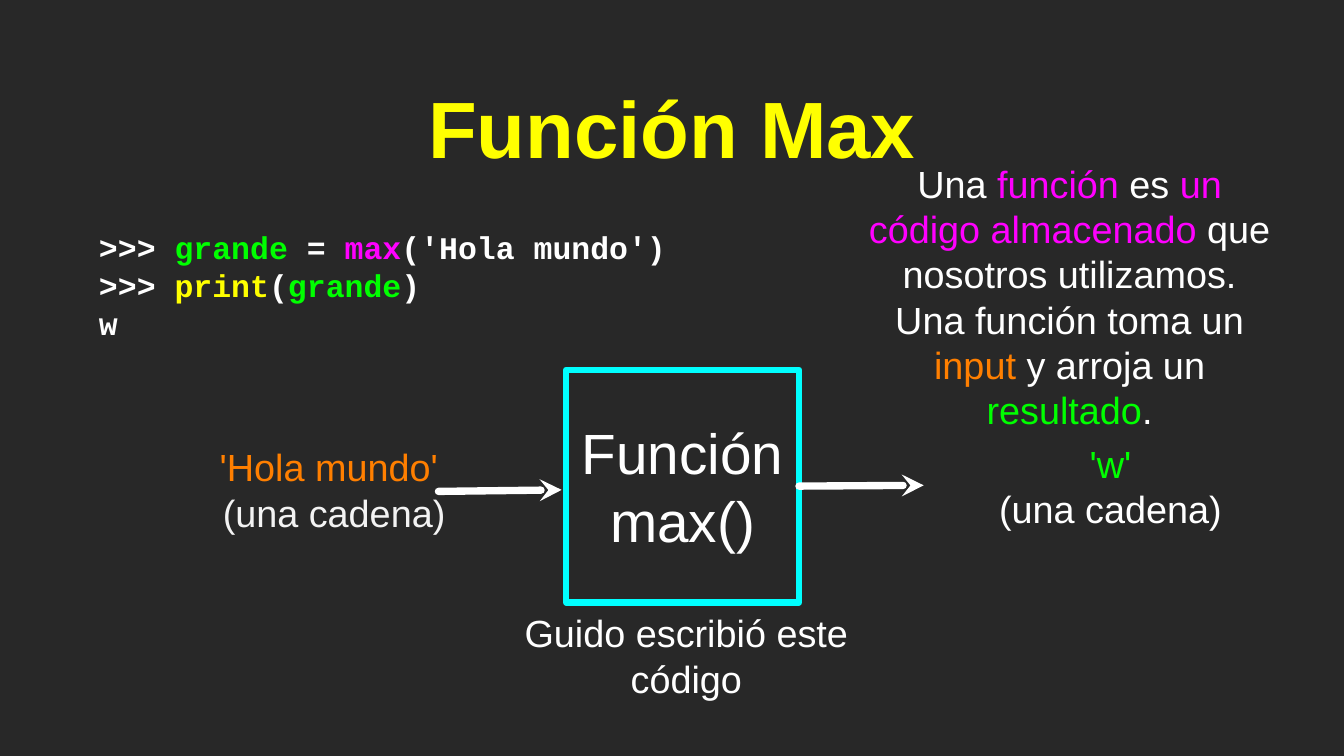
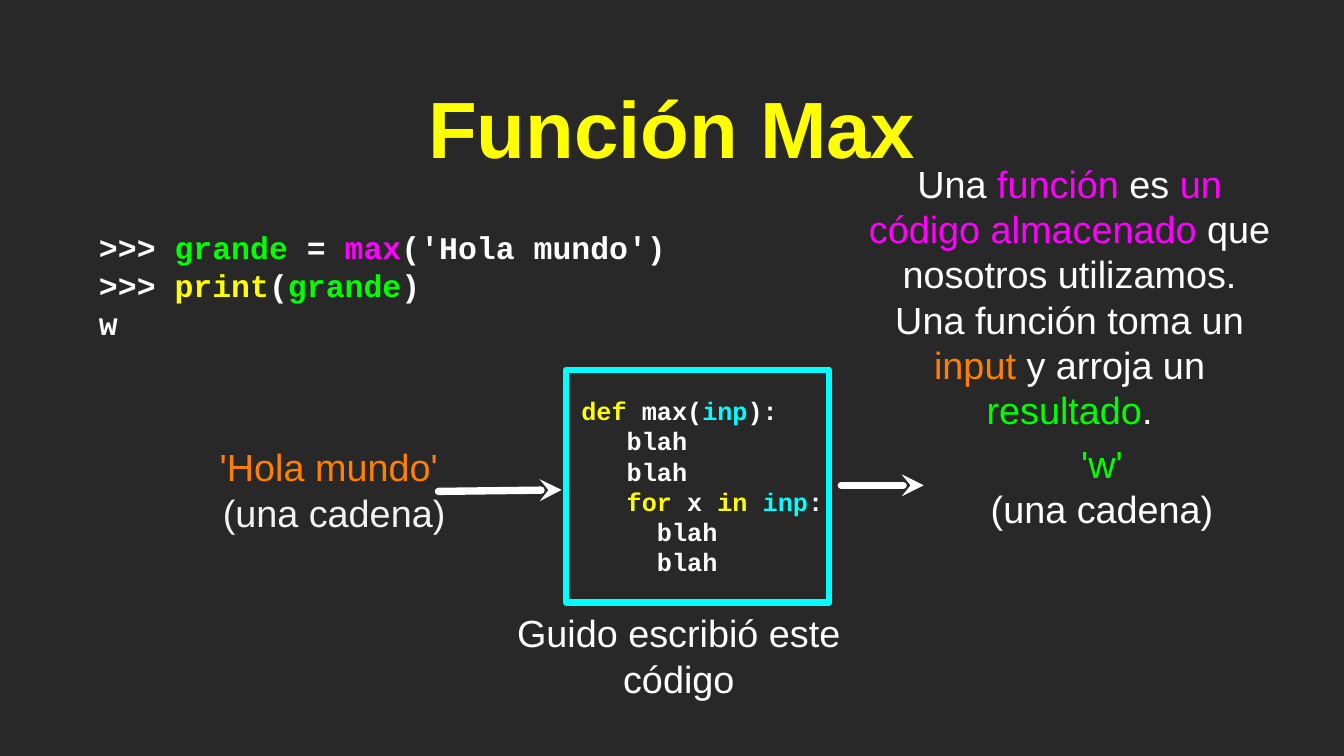
from lxml import etree
from pptx import Presentation
from pptx import util as u
from pptx.dml.color import RGBColor
from pptx.enum import shapes, text
from pptx.oxml.ns import qn

BACKGROUND = RGBColor(0x28, 0x28, 0x28)
WHITE = RGBColor(0xFF, 0xFF, 0xFF)
PALE = RGBColor(0xF3, 0xF3, 0xF3)
YELLOW = RGBColor(0xFF, 0xFF, 0x00)
GREEN = RGBColor(0x00, 0xFF, 0x00)
MAGENTA = RGBColor(0xFF, 0x00, 0xFF)
ORANGE = RGBColor(0xFF, 0x7F, 0x00)
CYAN = RGBColor(0x00, 0xFF, 0xFF)

BODY_FONT, CODE_FONT = "Arial", "Courier New"
LINE_PITCH = 1.2  # line height as a multiple of the font size
CODE_CHAR = 0.2  # width in inches of one 24 pt code character

# Each line of text is a list of (words, colour) runs
CONSOLE = [
    [(">>> ", WHITE), ("grande ", GREEN), ("= ", WHITE), ("max", MAGENTA),
     ("('Hola mundo')", WHITE)],
    [(">>> ", WHITE), ("print", YELLOW), ("(", WHITE), ("grande", GREEN), (")", WHITE)],
    [("w", WHITE)],
]
DEFINITION = [[
    ("Una ", WHITE), ("función", MAGENTA), (" es ", WHITE),
    ("un código almacenado", MAGENTA),
    (" que nosotros utilizamos. Una función toma un ", WHITE),
    ("input ", ORANGE), ("y arroja un ", WHITE), ("resultado", GREEN), (".", WHITE),
]]
MAX_BODY = [
    [("def", YELLOW), (" max(", WHITE), ("inp", CYAN), ("):", WHITE)],
    [("blah", WHITE)],
    [("blah", WHITE)],
    [("for", YELLOW), (" x ", WHITE), ("in ", YELLOW), ("inp", CYAN), (":", WHITE)],
    [("blah", WHITE)],
    [("blah", WHITE)],
]
MAX_BODY_INDENTS = [1, 4, 4, 4, 6, 6]  # in code characters


class Deck:
    """Holds the shared style and the slide being built."""

    def __init__(self):
        self.prs = Presentation()
        self.prs.slide_width = u.Inches(17.78)
        self.prs.slide_height = u.Inches(10)
        self.slide = None

    def new_slide(self):
        self.slide = self.prs.slides.add_slide(self.prs.slide_layouts[6])
        self.slide.background.fill.solid()
        self.slide.background.fill.fore_color.rgb = BACKGROUND

    def set_lines(self, shape, lines, size=36, font=BODY_FONT, bold=False,
                  align=text.PP_ALIGN.CENTER, inset=0, indents=None):
        frame = shape.text_frame
        frame.word_wrap = True
        frame.vertical_anchor = text.MSO_ANCHOR.MIDDLE
        frame.margin_left = frame.margin_right = u.Inches(inset)
        frame.margin_top = frame.margin_bottom = u.Inches(inset)
        for i, line in enumerate(lines):
            paragraph = frame.add_paragraph() if i else frame.paragraphs[0]
            paragraph.alignment = align
            paragraph.line_spacing = u.Pt(size * LINE_PITCH)
            if indents:
                margin = u.Inches(indents[i] * CODE_CHAR)
                paragraph._p.get_or_add_pPr().set("marL", str(int(margin)))
            for words, colour in line:
                run = paragraph.add_run()
                run.text = words
                run.font.size = u.Pt(size)
                run.font.name = font
                run.font.bold = bold
                run.font.color.rgb = colour

    def label(self, left, top, width, height, lines, **style):
        box = self.slide.shapes.add_textbox(*map(u.Inches, (left, top, width, height)))
        self.set_lines(box, lines, **style)

    def title(self, words):
        self.label(0.69, 0.99, 16.4, 1.36, [[(words, YELLOW)]],
                   size=76, bold=True, inset=0.04)

    def function_box(self, width, lines, **style):
        box = self.slide.shapes.add_shape(
            shapes.MSO_SHAPE.RECTANGLE, *map(u.Inches, (7.49, 4.89, width, 3.08)))
        box.shadow.inherit = False
        box.fill.background()
        box.line.color.rgb = CYAN
        box.line.width = u.Pt(6)
        self.set_lines(box, lines, **style)
        return box

    def arrow(self, start, tip, source=None):
        arrow = self.slide.shapes.add_connector(
            shapes.MSO_CONNECTOR.STRAIGHT, *map(u.Inches, (*start, *tip)))
        if source is not None:
            arrow.begin_connect(source, 3)
        arrow.line.color.rgb = WHITE
        arrow.line.width = u.Pt(7)
        stroke = arrow.line._get_or_add_ln()
        stroke.set("cap", "rnd")
        etree.SubElement(stroke, qn("a:round"))
        etree.SubElement(stroke, qn("a:tailEnd"), type="stealth")
        etree.SubElement(arrow._element.spPr, qn("a:effectLst"))

    def common_parts(self, result_width, caption_left):
        # Heading, console session and definition
        self.title("Función Max")
        self.label(1.31, 2.86, 7.8, 1.82, CONSOLE, size=30, font=CODE_FONT,
                   bold=True, align=text.PP_ALIGN.LEFT)
        self.label(11.45, 2.48, 5.4, 2.88, DEFINITION)
        # Input, result and caption around the function box
        self.arrow((5.8, 6.5), (7.43, 6.48))
        self.label(2.86, 5.85, 3.12, 1.25,
                   [[("'Hola mundo' ", ORANGE)], [("(una cadena)", PALE)]])
        self.label(12.73, 5.8, result_width, 1.25,
                   [[("'w'", GREEN)], [("(una cadena)", WHITE)]])
        self.label(caption_left, 8.33, 4.94, 0.68,
                   [[("Guido escribió este código", WHITE)]])


def main():
    deck = Deck()
    result_tip = (12.22, 6.42)

    # Slide 1: the function as a closed box
    deck.new_slide()
    max_box = deck.function_box(3.08, [[("Función max()", WHITE)]], size=54)
    deck.common_parts(result_width=3.92, caption_left=6.61)
    deck.arrow((10.57, 6.43), result_tip, source=max_box)

    # Slide 2: the code inside the function
    deck.new_slide()
    deck.function_box(3.48, MAX_BODY, size=24, font=CODE_FONT, bold=True,
                      align=text.PP_ALIGN.LEFT, indents=MAX_BODY_INDENTS)
    deck.common_parts(result_width=3.7, caption_left=6.51)
    deck.arrow((11.13, 6.42), result_tip)

    deck.prs.save("out.pptx")


if __name__ == "__main__":
    main()
